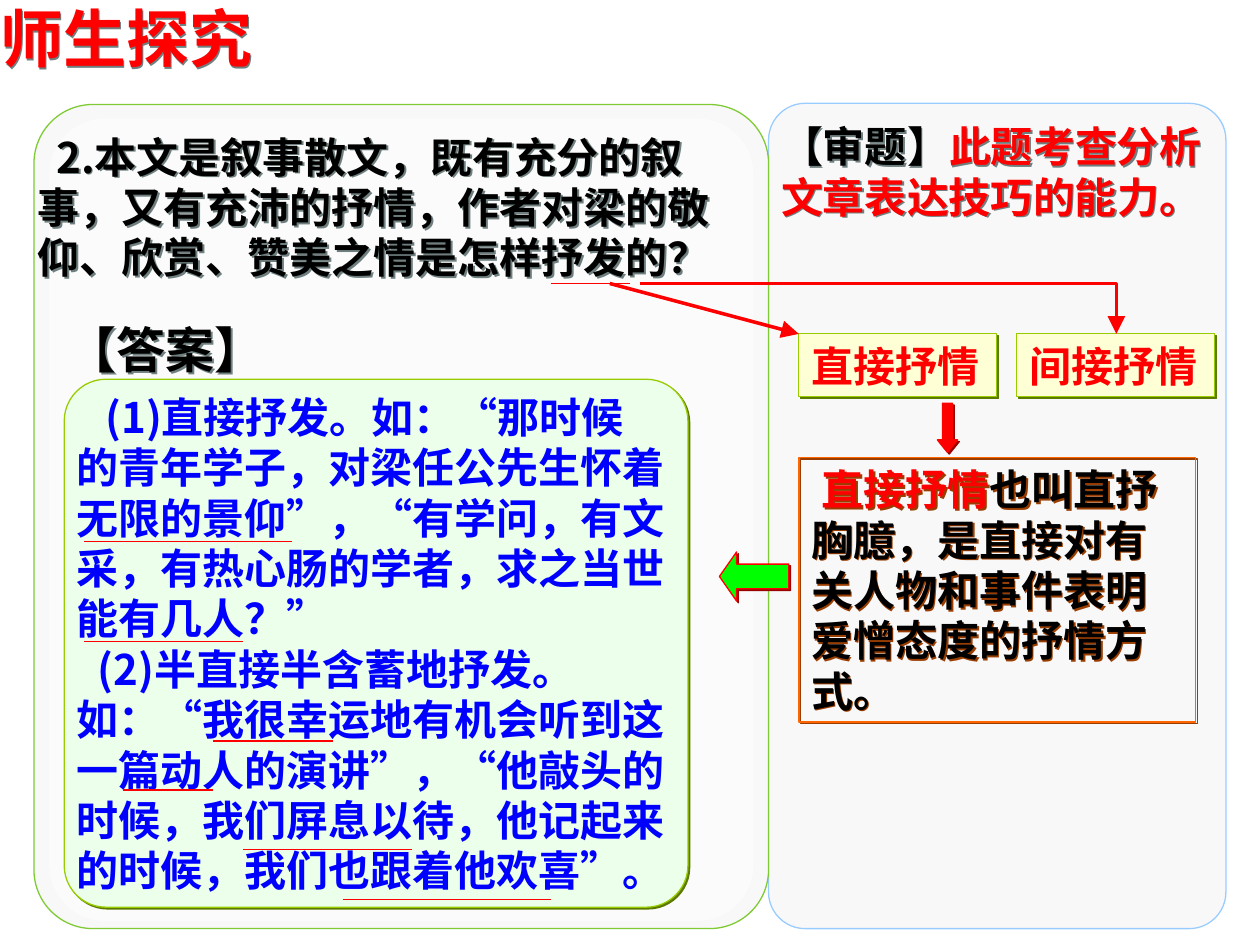
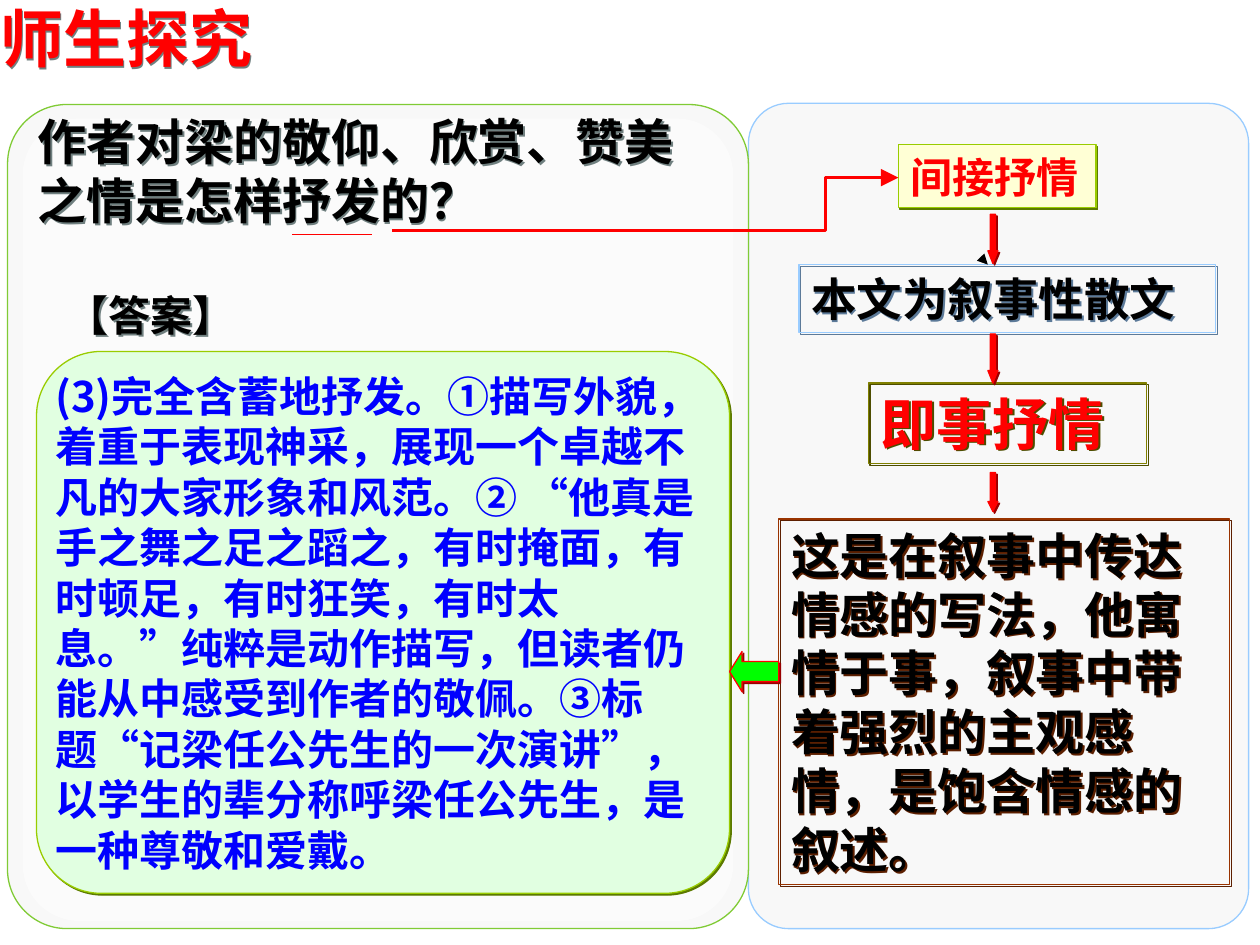
from dataclasses import dataclass

from lxml.etree import SubElement
from pptx import Presentation
from pptx.dml.color import RGBColor
from pptx.enum.lang import MSO_LANGUAGE_ID as Language
from pptx.enum.shapes import MSO_CONNECTOR as Link, MSO_SHAPE as Preset
from pptx.enum.text import MSO_ANCHOR as Anchor, MSO_AUTO_SIZE as AutoSize, PP_ALIGN as Align
from pptx.oxml.ns import qn
from pptx.util import Emu, Pt

PX = 9144  # 100 px to the inch


@dataclass(frozen=True)
class Theme:
    latin: str = "Arial"
    chinese: str = "Noto Sans CJK SC"
    red: str = "FF0000"
    black: str = "000000"
    blue: str = "0000FF"
    green: str = "00FF00"
    white: str = "FFFFFF"
    panel: str = "F8F8F8"
    panel_green: str = "80CB35"
    sky: str = "99CCFF"
    lime: str = "99CC00"
    cream: str = "FFFFD5"
    orange: str = "FF6600"
    brown: str = "993300"
    olive: str = "808000"
    text_shadow: str = "6F7F7F"
    lime_shadow: str = "5C7A00"
    red_shadow: str = "990000"
    title: int = 36
    keyword: int = 32
    large: int = 28
    medium: int = 26
    body: int = 24
    leading: float = 1.2
    hairline: float = 0.75


T = Theme()


def px(value):
    return Emu(round(value * PX))


def rgb(colour):
    return RGBColor.from_string(colour)


def apply(target, values):
    for name, value in values.items():
        setattr(target, name, value)


def paint(shape, fill=None, line=None, shadow=None, opacity=None):
    """Set the fill, outline and hard offset shadow of a shape."""
    if fill:
        shape.fill.solid()
        shape.fill.fore_color.rgb = rgb(fill)
    else:
        shape.fill.background()
    if opacity:
        tint = shape.element.spPr.find(qn("a:solidFill"))[0]
        SubElement(tint, qn("a:alpha"), val=str(opacity * 1000))
    if line:
        shape.line.color.rgb = rgb(line)
        shape.line.width = Pt(T.hairline)
    else:
        shape.line.fill.background()
    shape.shadow.inherit = False
    if shadow:
        effects = shape.element.spPr.find(qn("a:effectLst"))
        cast = SubElement(effects, qn("a:outerShdw"), blurRad="0", dist="17960",
                          dir="2700000", algn="ctr", rotWithShape="0")
        SubElement(cast, qn("a:srgbClr"), val=shadow)


def write(shape, paragraphs, size=T.body, colour=T.black, latin=T.latin,
          margins=(10, 5, 10, 5), anchor=Anchor.TOP, wrap=True):
    """Fill a shape with (indent, [(text, colour), ...]) paragraphs or a plain string."""
    if isinstance(paragraphs, str):
        paragraphs = [(0, [(paragraphs, colour)])]
    left, top, right, bottom = map(px, margins)
    frame = shape.text_frame
    apply(frame, {
        "word_wrap": wrap, "auto_size": AutoSize.NONE, "vertical_anchor": anchor,
        "margin_left": left, "margin_top": top,
        "margin_right": right, "margin_bottom": bottom,
    })
    for number, (indent, runs) in enumerate(paragraphs):
        paragraph = frame.add_paragraph() if number else frame.paragraphs[0]
        apply(paragraph, {"alignment": Align.LEFT, "line_spacing": Pt(size * T.leading)})
        properties = paragraph._p.get_or_add_pPr()
        properties.set("indent", str(px(indent)))
        properties.set("hangingPunct", "0")
        for text, tint in runs:
            run = paragraph.add_run()
            run.text = text
            apply(run.font, {"size": Pt(size), "bold": True, "name": latin,
                             "language_id": Language.SIMPLIFIED_CHINESE})
            run.font.color.rgb = rgb(tint)
            SubElement(run.font._element, qn("a:ea"), typeface=T.chinese)


def add_preset(slide, preset, area, adjustments=(), **look):
    shape = slide.shapes.add_shape(preset, *map(px, area))
    for index, value in enumerate(adjustments):
        shape.adjustments[index] = value
    paint(shape, **look)
    return shape


def add_label(slide, area, text, **style):
    label = slide.shapes.add_textbox(*map(px, area))
    paint(label, shadow=T.text_shadow)
    write(label, text, **style)


def add_frame(slide, area, text, line, shadow, **style):
    frame = add_preset(slide, Preset.RECTANGLE, area, line=line, shadow=shadow)
    write(frame, text, **style)


def add_tag(slide, left, top, text):
    tag = add_preset(slide, Preset.RECTANGLE, (left, top, 157, 50),
                     fill=T.cream, line=T.lime, shadow=T.lime_shadow)
    write(tag, text, colour=T.red)


def add_answer(slide, area, corner, fill, paragraphs, right=0):
    answer = add_preset(slide, Preset.ROUNDED_RECTANGLE, area, (corner,),
                        fill=fill, line=T.lime, shadow=T.lime_shadow)
    write(answer, paragraphs, colour=T.blue, latin=T.chinese,
          margins=(0, 0, right, 0), anchor=Anchor.MIDDLE)


def add_block_arrow(slide, preset, area, head, fill=T.red):
    add_preset(slide, preset, area, (0.5, head), fill=fill, line=T.red, shadow=T.red_shadow)


def add_line(slide, start, end, width=T.hairline, colour=T.red, head=None,
             link=Link.STRAIGHT, bend=None):
    """Draw a connector; an elbow turns once unless bend gives the x of its middle leg."""
    line = slide.shapes.add_connector(link, *map(px, start + end))
    line.line.color.rgb = rgb(colour)
    line.line.width = Pt(width)
    line.element.remove(line.element.find(qn("p:style")))
    properties = line.element.spPr
    if head:
        SubElement(properties.find(qn("a:ln")), qn("a:tailEnd"),
                   type="triangle", w=head, len=head)
    SubElement(properties, qn("a:effectLst"))
    if link == Link.ELBOW:
        geometry = properties.find(qn("a:prstGeom"))
        if bend is None:
            geometry.set("prst", "bentConnector2")
        else:
            share = (bend - start[0]) / (end[0] - start[0])
            SubElement(geometry.find(qn("a:avLst")), qn("a:gd"),
                       name="adj1", fmla=f"val {round(share * 100000)}")


def add_underlines(slide, spans):
    for left, right, y in spans:
        add_line(slide, (left, y), (right, y))


def add_base(deck, left, divide, right):
    """Start a slide with its two panels and the title."""
    slide = deck.slides.add_slide(deck.slide_layouts[6])
    panels = [
        ((divide, 82, right - divide, 655), {"fill": T.panel, "line": T.sky}),
        ((left, 83, divide - left, 654), {"fill": T.panel, "line": T.panel_green}),
        ((left + 12, 94, divide - left - 24, 637), {"fill": T.white, "opacity": 50}),
    ]
    for area, look in panels:
        add_preset(slide, Preset.ROUNDED_RECTANGLE, area, (0.08,), **look)
    add_label(slide, (0, 0, 335, 60), "师生探究", size=T.title, colour=T.red,
              margins=(0, 0, 0, 0))
    return slide


def build_direct(deck):
    slide = add_base(deck, 27, 610, 973)

    # Question and answer
    question = "2.本文是叙事散文，既有充分的叙事，又有充沛的抒情，作者对梁的敬仰、欣赏、赞美之情是怎样抒发的？"
    add_label(slide, (20, 99, 567, 130), [(15, [(question, T.black)])],
              latin=T.chinese, anchor=Anchor.MIDDLE)
    first = "(1)直接抒发。如：“那时候的青年学子，对梁任公先生怀着无限的景仰”，“有学问，有文采，有热心肠的学者，求之当世能有几人？”"
    second = "(2)半直接半含蓄地抒发。如：“我很幸运地有机会听到这一篇动人的演讲”，“他敲头的时候，我们屏息以待，他记起来的时候，我们也跟着他欢喜”。"
    add_answer(slide, (51, 301, 495, 419), 0.079, "EBFFEB",
               [(23, [(first, T.blue)]), (17, [(second, T.blue)])], right=8)
    add_label(slide, (44, 249, 175, 57), "【答案】", size=T.large, wrap=False)

    # Analysis of the question
    add_label(slide, (610, 91, 362, 90),
              [(0, [("【审题】", T.black), ("此题考查分析文章表达技巧的能力。", T.red)])])
    add_tag(slide, 634, 265, "直接抒情")
    add_tag(slide, 807, 265, "间接抒情")
    definition = [("直接抒情", T.red),
                  ("也叫直抒胸臆，是直接对有关人物和事件表明爱憎态度的抒情方式。", T.black)]
    add_frame(slide, (634, 363, 315, 210), [(8, definition)], T.orange, "993D00",
              latin=T.chinese, anchor=Anchor.MIDDLE)

    # Arrows and underlines
    add_line(slide, (437, 225), (500, 225), width=1)
    add_line(slide, (484, 225), (634, 265), width=2, head="lg")
    add_line(slide, (508, 225), (886, 265), width=2, head="lg", link=Link.ELBOW)
    add_block_arrow(slide, Preset.DOWN_ARROW, (744, 320, 16, 39), 0.62)
    add_block_arrow(slide, Preset.LEFT_ARROW, (571, 438, 55, 39), 0.35, T.green)
    add_underlines(slide, [(67, 232, 430), (67, 193, 509), (169, 264, 588),
                           (98, 169, 627), (193, 327, 674), (272, 437, 714)])


def build_indirect(deck):
    slide = add_base(deck, 6, 594, 991)

    # Question and answer
    add_label(slide, (20, 84, 535, 104), "作者对梁的敬仰、欣赏、赞美之情是怎样抒发的？", size=T.large)
    add_answer(slide, (29, 279, 550, 430), 0.119, "E1FFE1",
               "(3)完全含蓄地抒发。①描写外貌，着重于表现神采，展现一个卓越不凡的大家形象和风范。"
               "② “他真是手之舞之足之蹈之，有时掩面，有时顿足，有时狂笑，有时太息。”"
               "纯粹是动作描写，但读者仍能从中感受到作者的敬佩。"
               "③标题“记梁任公先生的一次演讲”，以学生的辈分称呼梁任公先生，是一种尊敬和爱戴。")
    add_label(slide, (43, 225, 157, 50), "【答案】")
    add_underlines(slide, [(232, 295, 186)])

    # Chain of reasoning
    add_tag(slide, 713, 115, "间接抒情")
    add_frame(slide, (634, 210, 331, 54), "本文为叙事性散文", T.sky, "5C7A99", size=T.medium)
    add_frame(slide, (689, 304, 221, 64), "即事抒情", T.olive, "4D4D00",
              size=T.keyword, colour=T.red)
    add_frame(slide, (618, 412, 358, 290),
              "这是在叙事中传达情感的写法，他寓情于事，叙事中带着强烈的主观感情，是饱含情感的叙述。",
              T.brown, "5C1F00", size=T.large, anchor=Anchor.MIDDLE)

    # Arrows
    add_line(slide, (783, 209), (784, 210), colour=T.black, head="med")
    add_line(slide, (311, 183), (713, 141), width=2, head="lg", link=Link.ELBOW, bend=655)
    for top, height, head in [(170, 39, 1.25), (265, 39, 1.25), (375, 31, 1)]:
        add_block_arrow(slide, Preset.DOWN_ARROW, (784, top, 8, height), head)
    add_block_arrow(slide, Preset.LEFT_ARROW, (579, 517, 39, 32), 0.31, T.green)


def main():
    deck = Presentation()
    deck.slide_width, deck.slide_height = px(1000), px(750)
    build_direct(deck)
    build_indirect(deck)
    deck.save("out.pptx")


if __name__ == "__main__":
    main()
